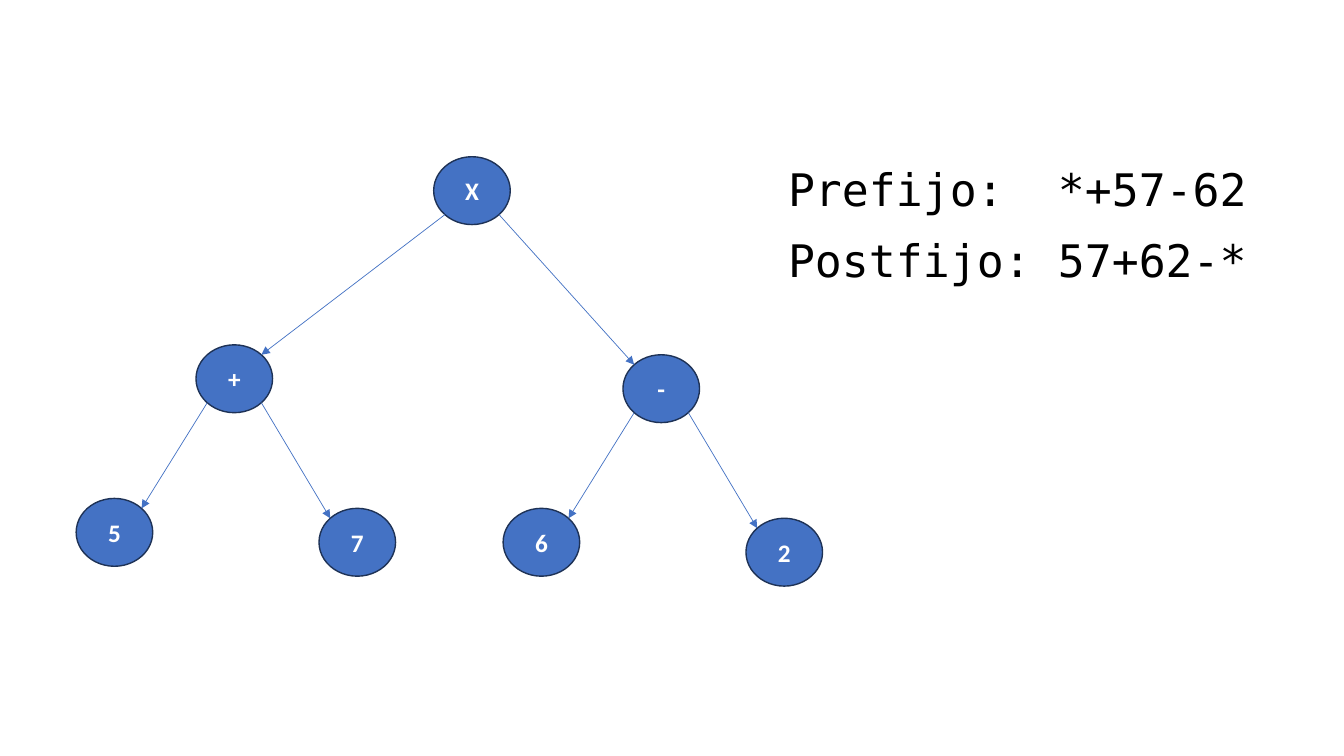
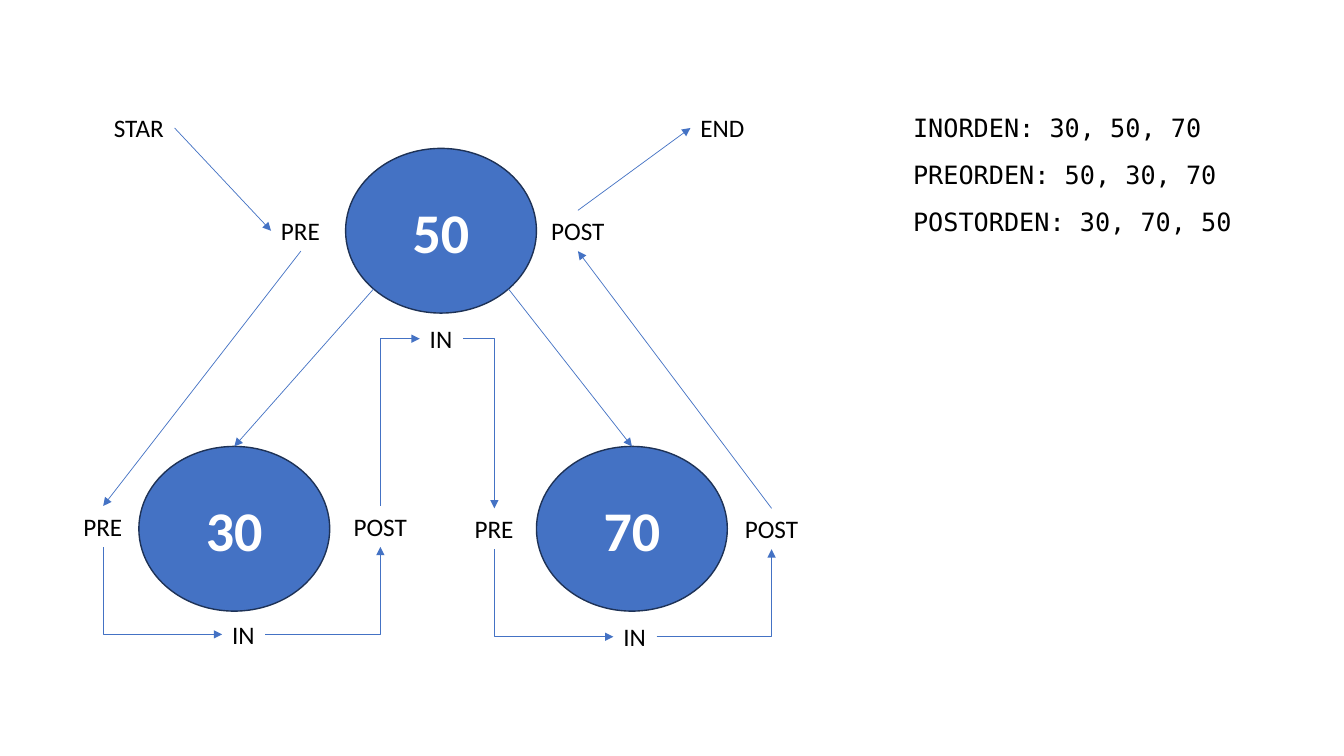
from dataclasses import dataclass
from math import sqrt

from lxml.etree import SubElement
from pptx import Presentation
from pptx.dml.color import RGBColor
from pptx.enum.shapes import MSO_CONNECTOR, MSO_SHAPE
from pptx.enum.text import MSO_ANCHOR, MSO_AUTO_SIZE, PP_ALIGN
from pptx.oxml.ns import qn
from pptx.shapes.autoshape import Shape
from pptx.slide import Slide
from pptx.text.text import TextFrame
from pptx.util import Cm, Pt

COLORS = {"node": "4472C4", "outline": "1E3256", "text": "000000", "node_text": "FFFFFF"}
SANS, MONO = "Calibri", "DejaVu Sans Mono"
LABEL_HEIGHT = 1.03
LABEL_WIDTHS = {"PRE": 1.5, "IN": 1.09, "POST": 1.85, "STAR": 1.78, "END": 1.63}
# Where the tour labels of a node stand, measured from its PRE label
TOUR_OFFSETS = {"PRE": (0, 0), "IN": (3.75, 2.72), "POST": (6.81, 0)}

# Connection sites: index, then position as a fraction of width and height
NEAR, FAR = 0.5 - sqrt(2) / 4, 0.5 + sqrt(2) / 4
OVAL_SITES = {"top": (0, 0.5, 0), "lower left": (3, NEAR, FAR),
              "lower right": (5, FAR, FAR), "upper left": (1, NEAR, NEAR),
              "upper right": (7, FAR, NEAR)}
LABEL_SITES = {"top": (0, 0.5, 0), "left": (1, 0, 0.5),
               "bottom": (2, 0.5, 1), "right": (3, 1, 0.5)}


@dataclass(frozen=True)
class NodeStyle:
    width: float
    height: float
    size: int


@dataclass(frozen=True)
class Anchor:
    """A connection site on a drawn shape."""
    shape: Shape
    index: int
    x: int
    y: int


SMALL = NodeStyle(1.93, 1.71, 18)
LARGE = NodeStyle(4.81, 4.15, 40)


def rgb(name: str) -> RGBColor:
    return RGBColor.from_string(COLORS[name])


def write(tf: TextFrame, *lines: str, font: str = SANS, size: int = 18,
          color: str = "text", bold: bool = False, align: PP_ALIGN = PP_ALIGN.LEFT,
          before: float = 0, after: float = 0, tab: float = 0) -> None:
    for i, line in enumerate(lines):
        p = tf.paragraphs[0] if i == 0 else tf.add_paragraph()
        p.alignment = align
        p.space_before, p.space_after = Pt(before), Pt(after)
        if tab:
            tabs = SubElement(p._p.get_or_add_pPr(), qn("a:tabLst"))
            SubElement(tabs, qn("a:tab"), pos=str(Cm(tab)), algn="l")
        r = p.add_run()
        r.text = line
        r.font.name, r.font.size, r.font.bold = font, Pt(size), bold
        r.font.color.rgb = rgb(color)


def add_text(s: Slide, x: float, y: float, width: float, height: float,
             *lines: str, wrap: bool = True, **style) -> Shape:
    sp = s.shapes.add_textbox(Cm(x), Cm(y), Cm(width), Cm(height))
    sp.text_frame.word_wrap = wrap
    sp.text_frame.auto_size = MSO_AUTO_SIZE.SHAPE_TO_FIT_TEXT
    write(sp.text_frame, *lines, **style)
    return sp


def add_label(s: Slide, text: str, x: float, y: float) -> Shape:
    return add_text(s, x, y, LABEL_WIDTHS[text], LABEL_HEIGHT, text, wrap=False)


def add_node(s: Slide, text: str, x: float, y: float, style: NodeStyle) -> Shape:
    sp = s.shapes.add_shape(MSO_SHAPE.OVAL, Cm(x), Cm(y), Cm(style.width), Cm(style.height))
    sp.shadow.inherit = False
    sp.fill.solid()
    sp.fill.fore_color.rgb = rgb("node")
    sp.line.color.rgb = rgb("outline")
    sp.line.width = Pt(1)
    sp.text_frame.vertical_anchor = MSO_ANCHOR.MIDDLE
    write(sp.text_frame, text, size=style.size, color="node_text", bold=True,
          align=PP_ALIGN.CENTER)
    return sp


def anchor(sp: Shape, side: str, sites: dict = LABEL_SITES) -> Anchor:
    index, fx, fy = sites[side]
    return Anchor(sp, index, round(sp.left + fx * sp.width), round(sp.top + fy * sp.height))


def add_arrow(s: Slide, start: Anchor, end: Anchor, bend: str = "") -> None:
    """Draw an arrow; bend is "", "across" (horizontal first) or "upright" (vertical first)."""
    # The elbow shape always leaves horizontally, so an upright one is drawn from its tip.
    reverse = bend == "upright"
    first, last = (end, start) if reverse else (start, end)
    kind = MSO_CONNECTOR.ELBOW if bend else MSO_CONNECTOR.STRAIGHT
    c = s.shapes.add_connector(kind, first.x, first.y, last.x, last.y)
    c.line.color.rgb = rgb("node")
    c.line.width = Pt(0.5)
    SubElement(c.line._get_or_add_ln(), qn("a:headEnd" if reverse else "a:tailEnd"),
               type="triangle")
    SubElement(c._element.spPr, qn("a:effectLst"))
    if bend:
        c._element.spPr.find(qn("a:prstGeom")).set("prst", "bentConnector2")
    glue = c._element.nvCxnSpPr.cNvCxnSpPr
    for tag, a in (("a:stCxn", first), ("a:endCxn", last)):
        SubElement(glue, qn(tag), id=str(a.shape.shape_id), idx=str(a.index))


def build_expression_tree(s: Slide) -> None:
    root = add_node(s, "X", 10.93, 3.95, SMALL)
    branches = (("+", 4.94, 8.69, "57", "lower left", "upper right"),
                ("-", 15.7, 8.94, "62", "lower right", "upper left"))
    for operator, x, y, operands, leave, enter in branches:
        branch = add_node(s, operator, x, y, SMALL)
        add_arrow(s, anchor(root, leave, OVAL_SITES), anchor(branch, enter, OVAL_SITES))
        left = add_node(s, operands[0], x - 3.02, y + 3.87, SMALL)
        right = add_node(s, operands[1], x + 3.1, y + 4.12, SMALL)
        for leaf, out, into in ((left, "lower left", "upper right"),
                                (right, "lower right", "upper left")):
            add_arrow(s, anchor(branch, out, OVAL_SITES), anchor(leaf, into, OVAL_SITES))
    add_text(s, 19.61, 3.95, 12.42, 3.43, "Prefijo:\t*+57-62", "Postfijo:\t57+62-*",
             font=MONO, size=32, before=12, tab=6.8)


def add_tour(s: Slide, x: float, y: float) -> dict[str, Shape]:
    """Place the PRE, IN and POST labels of one node."""
    return {text: add_label(s, text, x + dx, y + dy)
            for text, (dx, dy) in TOUR_OFFSETS.items()}


def build_traversal(s: Slide) -> None:
    root = add_node(s, "50", 8.71, 3.74, LARGE)
    for text, x, leave in (("30", 3.5, "lower left"), ("70", 13.52, "lower right")):
        child = add_node(s, text, x, 11.25, LARGE)
        add_arrow(s, anchor(root, leave, OVAL_SITES), anchor(child, "top", OVAL_SITES))

    top = add_tour(s, 6.83, 5.3)
    left = add_tour(s, 1.85, 12.75)
    right = add_tour(s, 11.71, 12.81)
    star = add_label(s, "STAR", 2.62, 2.71)
    end = add_label(s, "END", 17.4, 2.71)

    add_arrow(s, anchor(star, "right"), anchor(top["PRE"], "left"))
    add_arrow(s, anchor(top["PRE"], "bottom"), anchor(left["PRE"], "top"))
    for tour in (left, right):
        add_arrow(s, anchor(tour["PRE"], "bottom"), anchor(tour["IN"], "left"), "upright")
        add_arrow(s, anchor(tour["IN"], "right"), anchor(tour["POST"], "bottom"), "across")
    add_arrow(s, anchor(left["POST"], "top"), anchor(top["IN"], "left"), "upright")
    add_arrow(s, anchor(top["IN"], "right"), anchor(right["PRE"], "top"), "across")
    add_arrow(s, anchor(right["POST"], "top"), anchor(top["POST"], "bottom"))
    add_arrow(s, anchor(top["POST"], "top"), anchor(end, "left"))

    add_text(s, 22.76, 2.71, 10.03, 3.43, "INORDEN: 30, 50, 70", "PREORDEN: 50, 30, 70",
             "POSTORDEN: 30, 70, 50", font=MONO, before=6, after=6)


def main() -> None:
    prs = Presentation()
    prs.slide_width, prs.slide_height = Cm(33.87), Cm(19.05)
    blank = prs.slide_layouts[6]
    for build in (build_expression_tree, build_traversal):
        build(prs.slides.add_slide(blank))
    prs.save("out.pptx")


if __name__ == "__main__":
    main()
